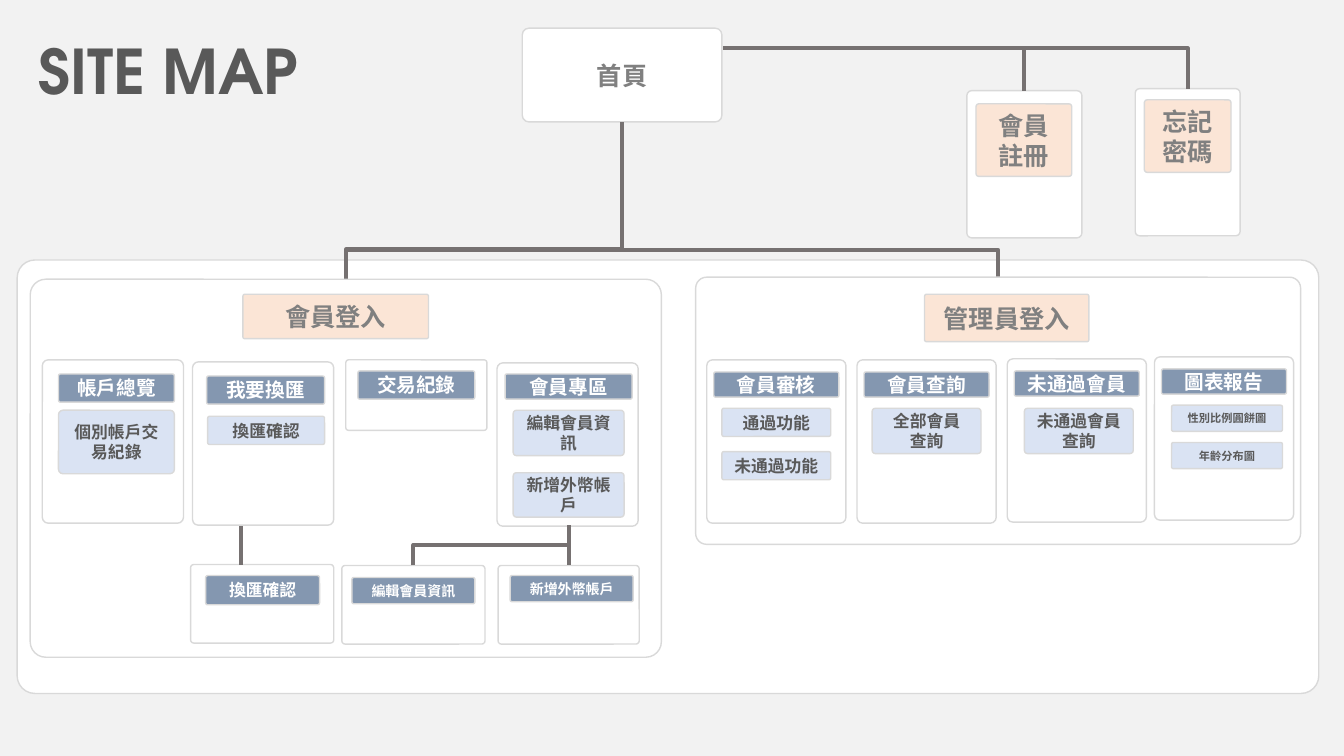
from lxml import etree
from pptx import Presentation, util as u
from pptx.dml.color import RGBColor
from pptx.enum import shapes, text
from pptx.oxml.ns import qn

HUE = {"back": "F2F2F2", "edge": "D9D9D9", "wire": "767171", "white": "FFFFFF",
       "peach": "FBE5D6", "slate": "8497B0", "sky": "DAE3F3",
       "grey": "808080", "ink": "595959"}
RGB = {name: RGBColor.from_string(code) for name, code in HUE.items()}
# kind: fill, text colour, corner
KIND = {"panel": ("white", "grey", 0.041), "home": ("white", "grey", 0.071),
        "gate": ("peach", "grey", 0.041), "head": ("slate", "white", 0.071),
        "item": ("sky", "ink", 0.071)}
CELL = u.Inches(0.1)  # the grid has ten columns and ten rows to the inch

deck = Presentation()
deck.slide_width, deck.slide_height = u.Inches(13.33), u.Inches(7.5)
slide = deck.slides.add_slide(deck.slide_layouts[6])
slide.background.fill.solid()
slide.background.fill.fore_color.rgb = RGB["back"]


def box(kind, x, y, w, h, words="", size=18):
    """Add a rounded box at a grid place; each line of words is a paragraph."""
    fill, ink, bend = KIND[kind]
    shape = slide.shapes.add_shape(shapes.MSO_SHAPE.ROUNDED_RECTANGLE,
                                   *(round(n * CELL) for n in (x, y, w, h)))
    shape.adjustments[0] = bend
    shape.shadow.inherit = False
    shape.fill.solid()
    shape.fill.fore_color.rgb = RGB[fill]
    shape.line.color.rgb = RGB["edge"]
    shape.line.width = u.Pt(1)
    if words:
        frame = shape.text_frame
        frame.text = words
        frame.word_wrap = True
        frame.vertical_anchor = text.MSO_ANCHOR.MIDDLE
        for para in frame.paragraphs:
            para.alignment = text.PP_ALIGN.CENTER
            font = para.font
            font.size, font.bold = u.Pt(size), True
            font.name = "Noto Sans CJK SC"
            font.color.rgb = RGB[ink]
            etree.SubElement(font._element, qn("a:ea"), typeface=font.name)


def wire(x1, y1, x2, y2, form="line", bend=None):
    """Link two grid points; bent forms leave the first point upwards."""
    kind = shapes.MSO_CONNECTOR.STRAIGHT if form == "line" else shapes.MSO_CONNECTOR.ELBOW
    link = slide.shapes.add_connector(kind, *(round(n * CELL) for n in (x1, y1, x2, y2)))
    link.line.color.rgb = RGB["wire"]
    link.line.width = u.Pt(3)
    props = link._element.spPr
    etree.SubElement(props, qn("a:effectLst"))
    if form == "line":
        return
    # A quarter turn swaps width and height about the same centre
    wide, high = abs(y2 - y1), abs(x2 - x1)
    link.left = round(((x1 + x2 - wide) / 2) * CELL)
    link.top = round(((y1 + y2 - high) / 2) * CELL)
    link.width, link.height = round(wide * CELL), round(high * CELL)
    right = x2 > x1
    frame = props.find(qn("a:xfrm"))
    frame.set("rot", str((90 if right else 270) * 60000))
    frame.set("flipH", "1" if right else "0")
    frame.set("flipV", "1")
    shape = props.find(qn("a:prstGeom"))
    shape.set("prst", form)
    if bend:
        etree.SubElement(shape.find(qn("a:avLst")), qn("a:gd"),
                         name="adj1", fmla=f"val {round(bend * 100000)}")


# Top level
box("panel", 1.7, 25.8, 129.1, 43)
box("home", 51.8, 2.8, 19.8, 9.3, "首頁")
box("panel", 95.9, 9, 11.4, 14.6)
box("gate", 96.8, 10.3, 9.5, 7.2, "會員註冊")
box("panel", 112.6, 8.8, 10.4, 14.6)
box("gate", 113.5, 9.9, 8.6, 7.2, "忘記密碼")
wire(34.3, 27.7, 61.7, 12.1, "bentConnector3", 0.188)
wire(99, 27.5, 61.7, 12.1, "bentConnector3", 0.175)
wire(101.6, 9, 71.7, 4.8, "bentConnector2")
wire(117.8, 8.8, 85.4, 4.8, "bentConnector2")

# Member area
box("panel", 3, 27.7, 62.6, 37.5)
box("gate", 24.1, 29.2, 18.4, 4.4, "會員登入")
for place in ((4.2, 35.7, 14, 16.2), (19.1, 35.9, 14, 16.2), (34.3, 35.7, 14, 7),
              (49.3, 36, 14, 16.2), (18.9, 56, 14.2, 7.8), (33.9, 56.1, 14.2, 7.8),
              (49.4, 56.1, 14, 7.8)):
    box("panel", *place)
for label in (("head", 5.8, 37.1, 11.5, 2.8, "帳戶總覽", 14),
              ("head", 20.5, 37.3, 11.7, 2.8, "我要換匯", 14),
              ("head", 35.5, 36.8, 11.6, 2.8, "交易紀錄", 14),
              ("head", 50.1, 37.1, 12.6, 2.5, "會員專區", 14),
              ("item", 5.8, 40.7, 11.5, 6.3, "個別帳戶交易紀錄", 12),
              ("item", 20.6, 41.3, 11.6, 2.8, "換匯確認", 12),
              ("item", 50.9, 40.7, 11, 4.5, "編輯會員資訊", 12),
              ("item", 50.9, 46.9, 11, 4.4, "新增外幣帳戶", 12),
              ("head", 20.4, 57.1, 11.3, 2.9, "換匯確認", 12),
              ("head", 34.9, 57.3, 12.2, 2.6, "編輯會員資訊", 10),
              ("head", 50.6, 57.1, 12.2, 2.6, "新增外幣帳戶", 10)):
    box(*label)
wire(41, 56.1, 56.4, 52.1, "bentConnector3", 0.5)
wire(56.4, 52.1, 56.4, 56.1)
wire(23.9, 52.2, 23.9, 56.1)

# Admin area: each card holds a head and items (drop, width, height, words, size)
box("panel", 69, 27.5, 60, 26.5)
box("gate", 91.7, 29.2, 16.3, 4.7, "管理員登入")
for x, y, inset, head, items in (
        (70.1, 35.7, 1.5, "會員審核", [(4.8, 10.8, 2.8, "通過功能", 12),
                                   (9.1, 10.8, 2.8, "未通過功能", 12)]),
        (85, 35.7, 1.5, "會員查詢", [(4.8, 10.8, 4.5, "全部會員\n查詢", 12)]),
        (99.9, 35.6, 1.7, "未通過會員", [(4.9, 10.8, 4.5, "未通過會員查詢", 12)]),
        (114.5, 35.4, 1.7, "圖表報告", [(4.8, 11, 2.6, "性別比例圓餅圖", 8),
                                    (8.5, 11, 2.6, "年齡分布圖", 8)])):
    box("panel", x, y, 13.8, 16.2)
    box("head", x + 0.7, y + 1.2, 12.4, 2.5, head, 14)
    for drop, wide, high, words, size in items:
        box("item", x + inset, y + drop, wide, high, words, size)

title = slide.shapes.add_textbox(*(round(n * CELL) for n in (2.8, 2.7, 61.4, 9.3))).text_frame
title.word_wrap = True
title.vertical_anchor = text.MSO_ANCHOR.MIDDLE
para = title.paragraphs[0]
para.text = "SITE MAP"
para.line_spacing = 0.9
para.font.name, para.font.size, para.font.bold = "TeX Gyre Adventor", u.Pt(44), True
para.font.color.rgb = RGB["ink"]

deck.save("out.pptx")
